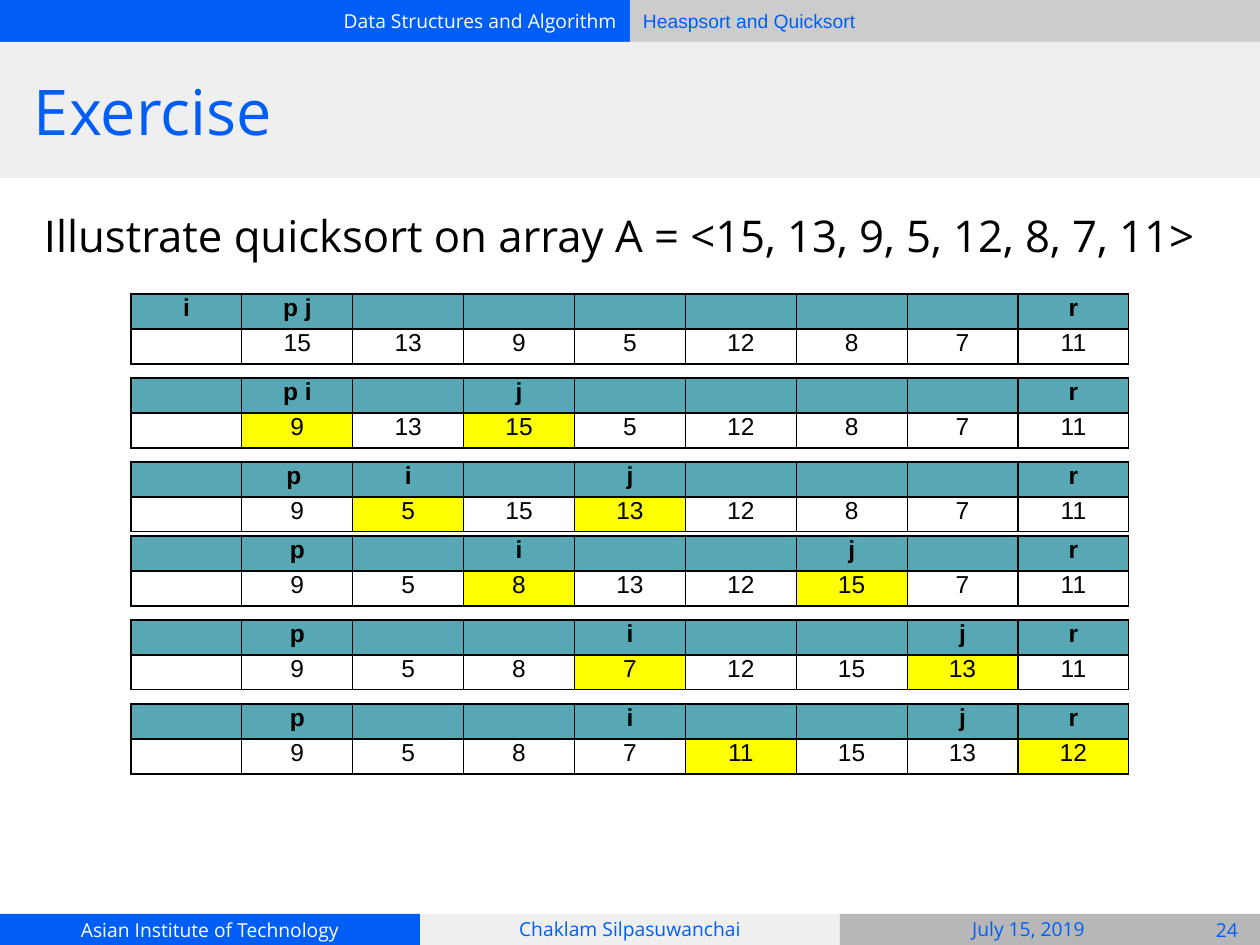
from lxml import etree
from pptx import Presentation
from pptx.dml.color import RGBColor
from pptx.enum.shapes import MSO_SHAPE
from pptx.enum.text import MSO_ANCHOR, PP_ALIGN
from pptx.oxml.ns import qn
from pptx.util import Emu, Pt

LEFT, CENTER, RIGHT = PP_ALIGN.LEFT, PP_ALIGN.CENTER, PP_ALIGN.RIGHT
MIDDLE = MSO_ANCHOR.MIDDLE
RECTANGLE = MSO_SHAPE.RECTANGLE

BLUE, WHITE, BLACK = "005EF6", "FFFFFF", "000000"
PALE, SILVER, GREY = "EFEFEF", "CCCCCC", "B7B7B7"
TEAL, YELLOW = "57A7B5", "FFFF00"
WIDTH, HEIGHT = 1260, 945
INSET = 13

BARS = [
    ((0, 0, 630, 42), BLUE, "Data Structures and Algorithm", {"color": WHITE, "align": RIGHT}),
    ((630, 0, 630, 42), SILVER, "Heaspsort and Quicksort", {"font": "Arial"}),
    ((0, 914, 420, 31), BLUE, "Asian Institute of Technology", {"color": WHITE, "align": CENTER}),
    ((420, 914, 420, 31), PALE, "", {}),
    ((840, 914, 420, 31), GREY, "", {}),
    ((0, 42, 1260, 136), PALE, "", {}),
]
LABELS = [
    ((420, 913, 420, 31), "Chaklam Silpasuwanchai", {"align": CENTER}),
    ((850, 913, 357, 31), "July 15, 2019", {"align": CENTER}),
    ((1194, 915, 66, 30), "24", {"align": CENTER}),
    ((21, 42, 1218, 136), "Exercise", {"size": 36}),
    ((31, 179, 1207, 113), "Illustrate quicksort on array A = <15, 13, 9, 5, 12, 8, 7, 11>",
     {"size": 25, "color": BLACK, "before": 6}),
]

TABLE_LEFT, TABLE_WIDTH, ROW_HEIGHT, COLUMNS = 131, 998, 35, 9
FRAME_SIDE = 413
STEPS = [
    (294, {0: "i", 1: "p j", 8: "r"}, [15, 13, 9, 5, 12, 8, 7, 11], ()),
    (378, {1: "p i", 3: "j", 8: "r"}, [9, 13, 15, 5, 12, 8, 7, 11], (1, 3)),
    (462, {1: "p ", 2: "i", 4: "j", 8: "r"}, [9, 5, 15, 13, 12, 8, 7, 11], (2, 4)),
    (536, {1: "p", 3: "i", 6: "j", 8: "r"}, [9, 5, 8, 13, 12, 15, 7, 11], (3, 6)),
    (620, {1: "p", 4: "i", 7: "j", 8: "r"}, [9, 5, 8, 7, 12, 15, 13, 11], (4, 7)),
    (704, {1: "p", 4: "i", 7: "j", 8: "r"}, [9, 5, 8, 7, 11, 15, 13, 12], (5, 8)),
]


def px(value):
    return Emu(round(value * 914400 / 126))


def rgb(value):
    return RGBColor.from_string(value)


def write(frame, text, size=11, font="Open Sans", color=BLUE, align=LEFT, bold=False, before=0):
    paragraph = frame.paragraphs[0]
    paragraph.alignment = align
    paragraph.space_before = Pt(before)
    if text:
        paragraph.add_run().text = text
    for style in [paragraph.font] + [run.font for run in paragraph.runs]:
        style.size = Pt(size)
        style.name = font
        style.bold = bold
        style.color.rgb = rgb(color)


def set_margins(target, margin):
    target.margin_left = target.margin_right = px(margin)
    target.margin_top = target.margin_bottom = px(margin)


def fill_frame(shape, text, **style):
    frame = shape.text_frame
    frame.word_wrap = True
    frame.vertical_anchor = MIDDLE
    set_margins(frame, INSET)
    write(frame, text, **style)


def add_bar(slide, box, fill, text, style):
    shape = slide.shapes.add_shape(RECTANGLE, *map(px, box))
    shape.shadow.inherit = False
    shape.fill.solid()
    shape.fill.fore_color.rgb = rgb(fill)
    shape.line.fill.background()
    if text:
        fill_frame(shape, text, **style)


def add_borders(cell):
    properties = cell._tc.get_or_add_tcPr()
    for side in ("a:lnL", "a:lnR", "a:lnT", "a:lnB"):
        line = etree.SubElement(properties, qn(side), w=str(Pt(0.75)))
        solid = etree.SubElement(line, qn("a:solidFill"))
        etree.SubElement(solid, qn("a:srgbClr"), val=BLACK)


def format_cell(cell, text, fill, bold):
    set_margins(cell, 0)
    add_borders(cell)
    cell.fill.solid()
    cell.fill.fore_color.rgb = rgb(fill)
    write(cell.text_frame, text, size=14, font="Arial", color=BLACK, align=CENTER, bold=bold)


def add_step(slide, top, pointers, values, swapped):
    graphic_frame = slide.shapes.add_table(
        2, COLUMNS, px(TABLE_LEFT), px(top), px(TABLE_WIDTH), px(2 * ROW_HEIGHT)
    )
    table = graphic_frame.table
    table.first_row = False
    table.horz_banding = False
    for row in table.rows:
        row.height = px(ROW_HEIGHT)
    for index, value in enumerate([""] + values):
        table.columns[index].width = px(TABLE_WIDTH / COLUMNS)
        format_cell(table.cell(0, index), pointers.get(index, ""), TEAL, True)
        format_cell(table.cell(1, index), str(value), YELLOW if index in swapped else WHITE, False)
    graphic_frame.width = graphic_frame.height = px(FRAME_SIDE)


def main():
    presentation = Presentation()
    presentation.slide_width, presentation.slide_height = px(WIDTH), px(HEIGHT)
    slide = presentation.slides.add_slide(presentation.slide_layouts[6])
    for bar in BARS:
        add_bar(slide, *bar)
    for box, text, style in LABELS:
        fill_frame(slide.shapes.add_textbox(*map(px, box)), text, **style)
    for step in STEPS:
        add_step(slide, *step)
    presentation.save("out.pptx")


if __name__ == "__main__":
    main()
